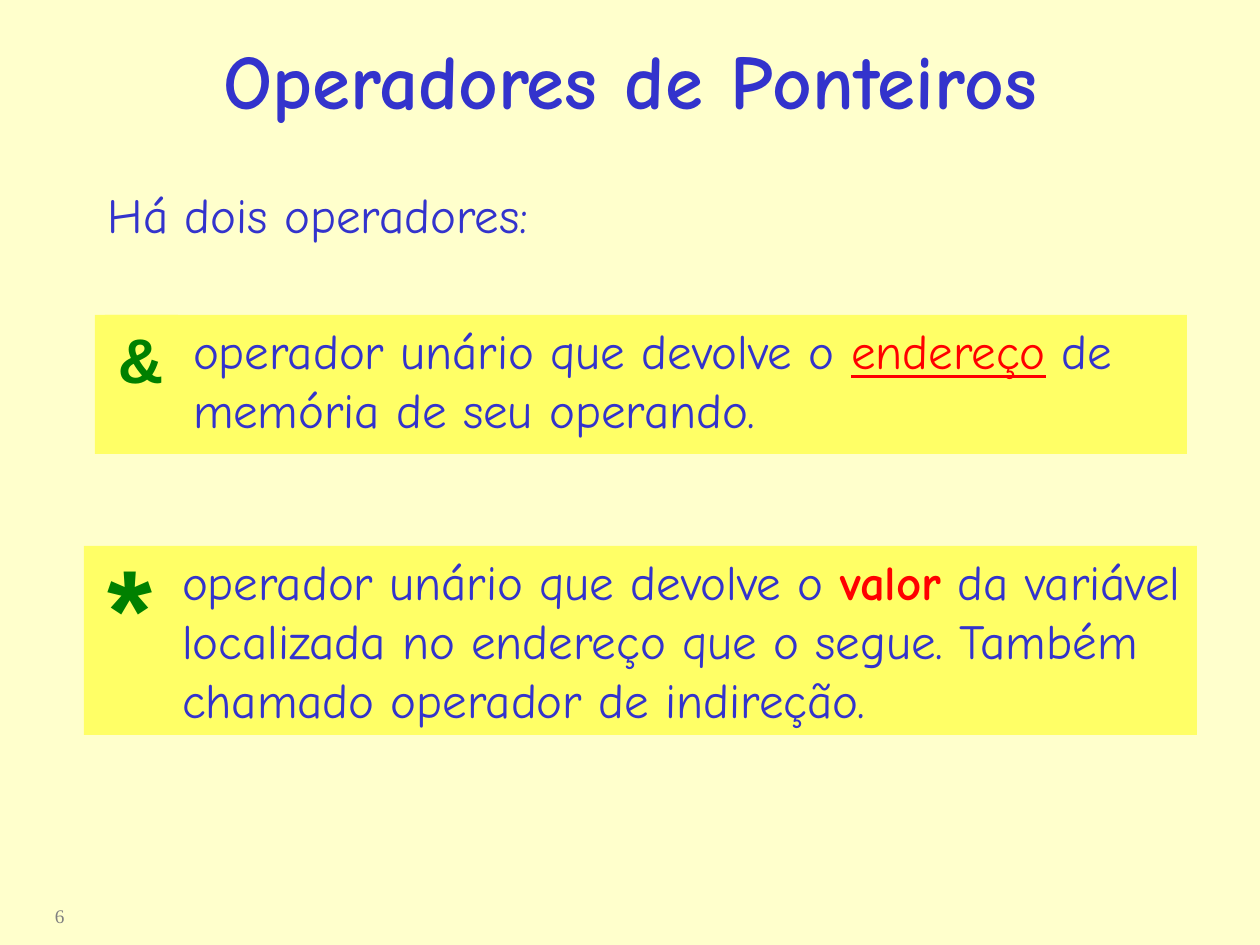
from dataclasses import dataclass

from pptx import Presentation
from pptx.dml.color import RGBColor
from pptx.enum.shapes import MSO_SHAPE
from pptx.enum.text import MSO_ANCHOR, MSO_AUTO_SIZE, PP_ALIGN
from pptx.util import Pt

RECTANGLE = MSO_SHAPE.RECTANGLE
TOP, MIDDLE = MSO_ANCHOR.TOP, MSO_ANCHOR.MIDDLE
LEFT, CENTER = PP_ALIGN.LEFT, PP_ALIGN.CENTER
NO_AUTOFIT = MSO_AUTO_SIZE.NONE

CREAM = RGBColor(0xFF, 0xFF, 0xCC)
YELLOW = RGBColor(0xFF, 0xFF, 0x66)
BLUE = RGBColor(0x33, 0x33, 0xCC)
RED = RGBColor(0xFF, 0x00, 0x00)
GREEN = RGBColor(0x00, 0x80, 0x00)
GRAY = RGBColor(0x80, 0x80, 0x80)

EMU_PER_PIXEL = 914400 / 126
SIDE_INSET, VERTICAL_INSET = 13, 6
DEFINITION_INSET = 98


def px(pixels: int) -> int:
    return round(pixels * EMU_PER_PIXEL)


@dataclass(frozen=True)
class Run:
    text: str
    size: int = 28
    name: str = "Comic Neue"
    color: RGBColor = BLUE
    bold: bool = False
    underline: bool = False


@dataclass(frozen=True)
class Block:
    left: int
    top: int
    width: int
    height: int
    runs: tuple[Run, ...]
    fill: RGBColor | None = None
    left_inset: int = SIDE_INSET
    wrap: bool = True
    line_spacing: float = 1.0
    align: PP_ALIGN = LEFT
    anchor: MSO_ANCHOR = TOP


TITLE = Block(95, 0, 1071, 157, (Run("Operadores de Ponteiros", 44, bold=True),),
              align=CENTER, anchor=MIDDLE)

BLOCKS = (
    Block(42, 898, 242, 37, (Run("6", 11, "Times New Roman", GRAY),)),
    Block(95, 179, 966, 72, (Run("Há dois operadores:"),)),
    Block(95, 315, 1092, 139, (
        Run("operador unário que devolve o "),
        Run("endereço", color=RED, underline=True),
        Run(" de memória de seu operando."),
    ), YELLOW, DEFINITION_INSET),
    Block(105, 315, 73, 88, (Run("&", 36, "Arial", GREEN, True),), YELLOW, wrap=False),
    Block(84, 546, 1113, 189, (
        Run("operador unário que devolve o "),
        Run("valor", color=RED, bold=True),
        Run(" da variável localizada no endereço que o segue. "
            "Também chamado operador de indireção."),
    ), YELLOW, DEFINITION_INSET),
    Block(95, 557, 71, 123, (Run("*", 66, "Arial", GREEN, True),), YELLOW,
          wrap=False, line_spacing=0.8),
)


def set_attributes(target, values: dict) -> None:
    for name, value in values.items():
        setattr(target, name, value)


def format_block(shape, block: Block) -> None:
    set_attributes(shape, {
        "left": px(block.left), "top": px(block.top),
        "width": px(block.width), "height": px(block.height),
    })
    frame = shape.text_frame
    set_attributes(frame, {
        "margin_left": px(block.left_inset), "margin_right": px(SIDE_INSET),
        "margin_top": px(VERTICAL_INSET), "margin_bottom": px(VERTICAL_INSET),
        "word_wrap": block.wrap, "auto_size": NO_AUTOFIT,
        "vertical_anchor": block.anchor,
    })
    paragraph = frame.paragraphs[0]
    set_attributes(paragraph, {
        "alignment": block.align, "line_spacing": block.line_spacing,
    })
    for item in block.runs:
        run = paragraph.add_run()
        run.text = item.text
        set_attributes(run.font, {
            "size": Pt(item.size), "name": item.name,
            "bold": item.bold, "underline": item.underline,
        })
        run.font.color.rgb = item.color


def add_block(slide, block: Block) -> None:
    bounds = [px(n) for n in (block.left, block.top, block.width, block.height)]
    if block.fill is None:
        shape = slide.shapes.add_textbox(*bounds)
    else:
        shape = slide.shapes.add_shape(RECTANGLE, *bounds)
        shape.shadow.inherit = False
        shape.fill.solid()
        shape.fill.fore_color.rgb = block.fill
        shape.line.fill.background()
    format_block(shape, block)


def main() -> None:
    presentation = Presentation()
    set_attributes(presentation, {"slide_width": px(1260), "slide_height": px(945)})
    slide = presentation.slides.add_slide(presentation.slide_layouts[5])
    slide.background.fill.solid()
    slide.background.fill.fore_color.rgb = CREAM
    format_block(slide.shapes.title, TITLE)
    for block in BLOCKS:
        add_block(slide, block)
    presentation.save("out.pptx")


main()
